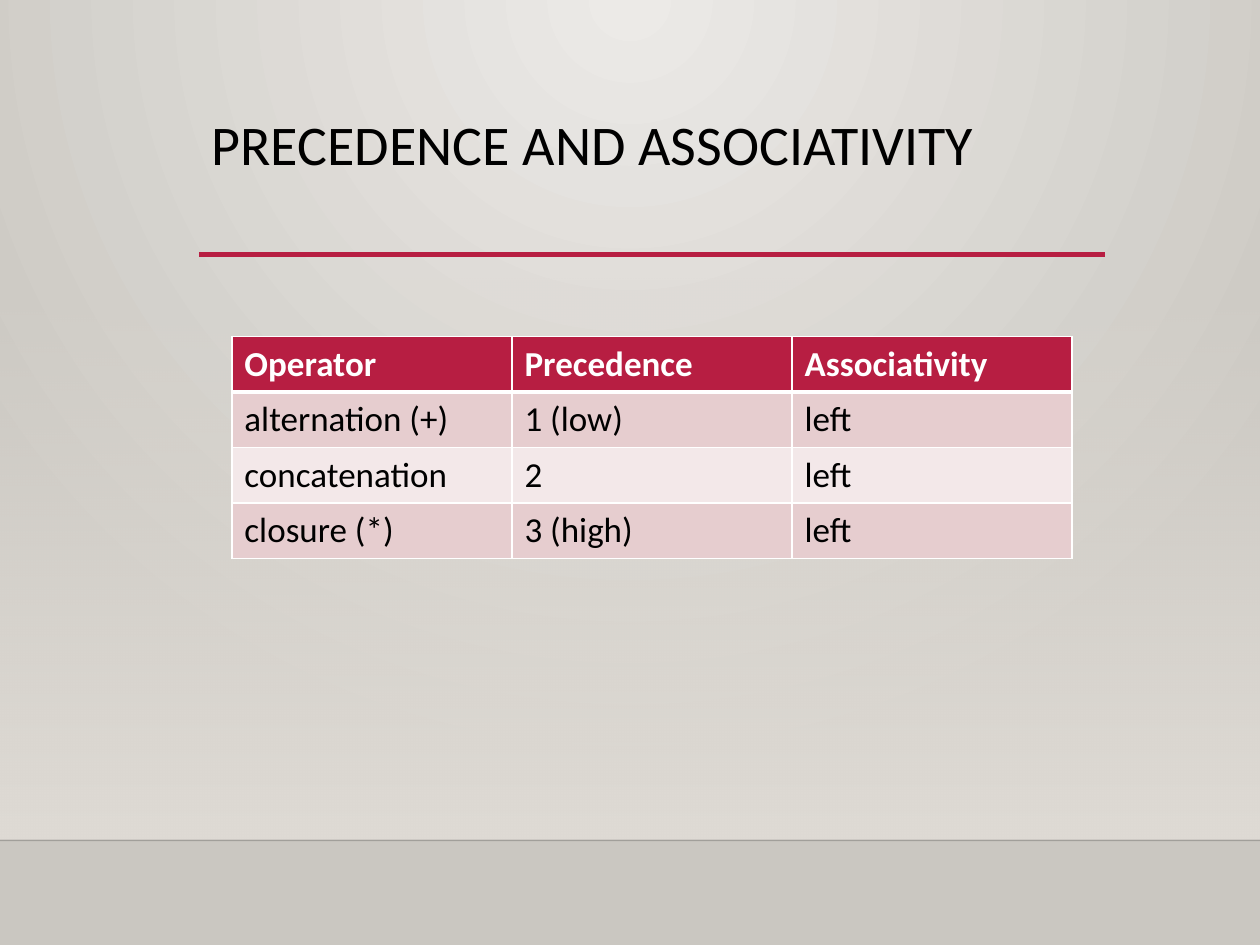
import pptx
import pptx.dml.color
import pptx.enum.shapes
import pptx.enum.text
import pptx.oxml
import pptx.oxml.ns
import pptx.util
from pptx.util import Inches

COLORS = {
    "black": "000000",
    "white": "FFFFFF",
    "crimson": "B71E42",
    "rose": "E6CDCF",
    "pale_rose": "F3E8E9",
    "glow": "ECEAE7",
    "stone": "CAC7C1",
    "floor": "DFDBD5",
    "edge": "000001",
}
ROWS = [
    ["Operator", "Precedence", "Associativity"],
    ["alternation (+)", "1 (low)", "left"],
    ["concatenation", "2", "left"],
    ["closure (*)", "3 (high)", "left"],
]
RADIAL = '<a:path path="circle"><a:fillToRect l="43000" t="0" r="43000" b="100000"/></a:path>'
DOWNWARD = '<a:lin ang="5400000" scaled="0"/>'


def rgb(name):
    return pptx.dml.color.RGBColor.from_string(COLORS[name])


def parse_xml(tag, content="", attributes=""):
    namespace = pptx.oxml.ns.nsdecls("a")
    return pptx.oxml.parse_xml(f"<a:{tag} {namespace} {attributes}>{content}</a:{tag}>")


class SlideBuilder:
    def __init__(self, presentation, font_name):
        self.font_name = font_name
        self.slide = presentation.slides.add_slide(presentation.slide_layouts[5])

    def format_text(self, paragraph, size, color, bold=False):
        values = {"name": self.font_name, "size": pptx.util.Pt(size), "bold": bold}
        for run in paragraph.runs:
            for name, value in values.items():
                setattr(run.font, name, value)
            run.font.color.rgb = rgb(color)

    def gradient(self, fill, owner, stops, direction):
        fill.gradient()
        gradient = next(owner.iter(pptx.oxml.ns.qn("a:gradFill")))
        stop_xml = "".join(
            f'<a:gs pos="{position * 1000}"><a:srgbClr val="{COLORS[color]}">'
            f'<a:alpha val="{alpha * 1000}"/></a:srgbClr></a:gs>'
            for position, color, alpha in stops
        )
        content = f"<a:gsLst>{stop_xml}</a:gsLst>{direction}"
        gradient.getparent().replace(gradient, parse_xml("gradFill", content, 'rotWithShape="1"'))

    def background(self, stops):
        self.gradient(self.slide.background.fill, self.slide.element, stops, RADIAL)

    def panel(self, left, top, width, height, stops):
        shape = self.slide.shapes.add_shape(
            pptx.enum.shapes.MSO_SHAPE.RECTANGLE,
            Inches(left), Inches(top), Inches(width), Inches(height),
        )
        shape.shadow.inherit = False
        shape.line.fill.background()
        self.gradient(shape.fill, shape.element, stops, DOWNWARD)

    def rule(self, left, right, y, color, width, opacity=100):
        connector = self.slide.shapes.add_connector(
            pptx.enum.shapes.MSO_CONNECTOR.STRAIGHT,
            Inches(left), Inches(y), Inches(right), Inches(y),
        )
        connector.line.color.rgb = rgb(color)
        connector.line.width = pptx.util.Pt(width)
        if opacity < 100:
            line_color = next(connector.element.iter(pptx.oxml.ns.qn("a:srgbClr")))
            line_color.append(parse_xml("alpha", attributes=f'val="{opacity * 1000}"'))
        connector.element.spPr.append(parse_xml("effectLst"))

    def title(self, text, left, top, width, height):
        shape = self.slide.shapes.title
        shape.element.getparent().append(shape.element)
        place = {"left": left, "top": top, "width": width, "height": height}
        for name, value in place.items():
            setattr(shape, name, Inches(value))
        frame = shape.text_frame
        frame.text = text
        frame.word_wrap = True
        frame.vertical_anchor = pptx.enum.text.MSO_ANCHOR.TOP
        paragraph = frame.paragraphs[0]
        paragraph.alignment = pptx.enum.text.PP_ALIGN.LEFT
        paragraph.line_spacing = 0.9
        self.format_text(paragraph, 32, "black")

    def cell_borders(self, cell, widths):
        properties = cell._tc.get_or_add_tcPr()
        for side, width in widths.items():
            color = f'<a:solidFill><a:srgbClr val="{COLORS["white"]}"/></a:solidFill>'
            properties.append(parse_xml(f"ln{side}", color, f'w="{pptx.util.Pt(width)}"'))

    def table(self, rows, left, top, width, height):
        table = self.slide.shapes.add_table(
            len(rows), len(rows[0]),
            Inches(left), Inches(top), Inches(width), Inches(height),
        ).table
        table.horz_banding = False
        for row_index, texts in enumerate(rows):
            header = row_index == 0
            fill = "crimson" if header else ("pale_rose", "rose")[row_index % 2]
            widths = {"L": 1, "R": 1, "T": 3 if row_index == 1 else 1, "B": 3 if header else 1}
            for column_index, text in enumerate(texts):
                cell = table.cell(row_index, column_index)
                cell.text = text
                self.cell_borders(cell, widths)
                cell.fill.solid()
                cell.fill.fore_color.rgb = rgb(fill)
                color = "white" if header else "black"
                self.format_text(cell.text_frame.paragraphs[0], 20, color, header)


def main():
    presentation = pptx.Presentation()
    presentation.slide_width = Inches(10)
    presentation.slide_height = Inches(7.5)
    builder = SlideBuilder(presentation, "Calibri")
    builder.background([(0, "glow", 100), (100, "stone", 100)])
    builder.panel(0, 2.2, 10, 4.46, [(0, "floor", 0), (100, "floor", 100)])
    builder.rule(0, 10, 6.67, "edge", 1, opacity=20)
    builder.rule(1.58, 8.77, 2.02, "crimson", 2.5)
    builder.title("PRECEDENCE AND ASSOCIATIVITY", 1.58, 0.88, 7.19, 1.15)
    builder.table(ROWS, 1.84, 2.67, 6.67, 1.73)
    presentation.save("out.pptx")


if __name__ == "__main__":
    main()
